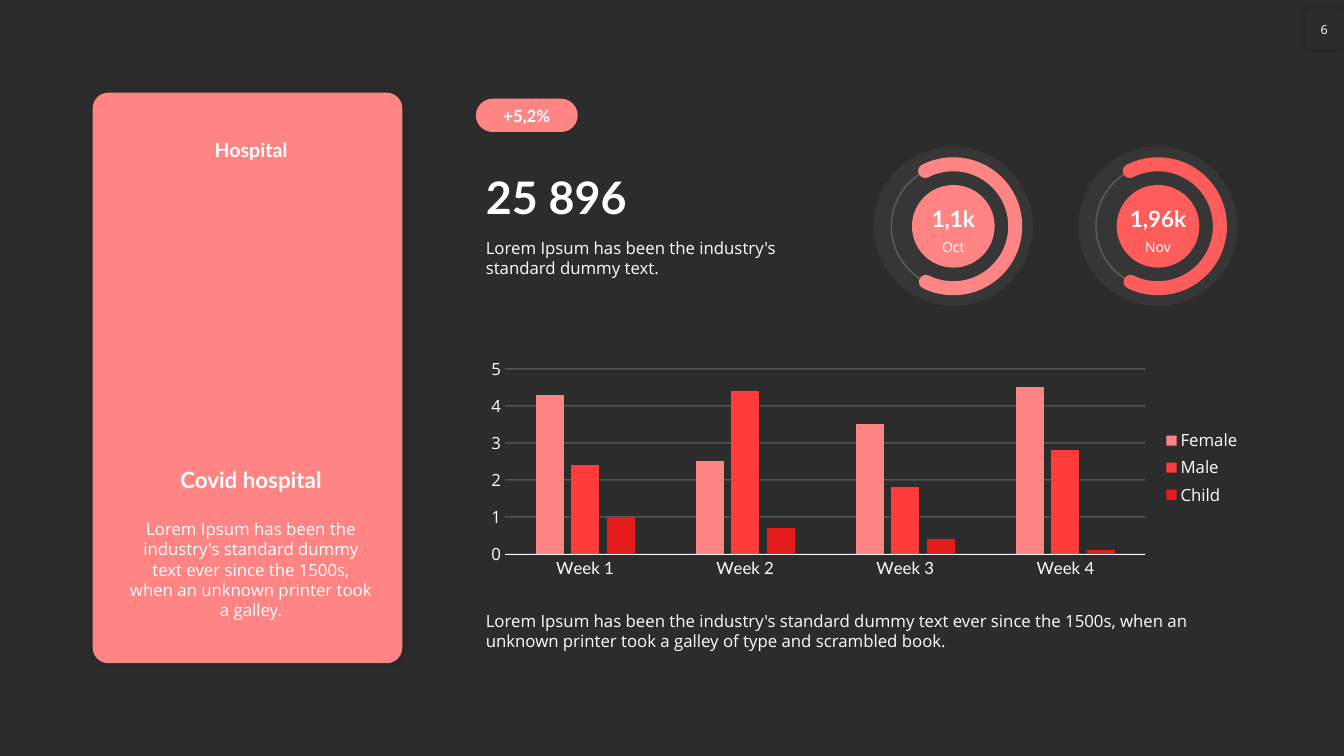
from lxml.etree import SubElement
from pptx import Presentation
from pptx.chart.data import CategoryChartData
from pptx.dml.color import RGBColor
from pptx.enum.chart import XL_CHART_TYPE as CT, XL_LEGEND_POSITION as LP, XL_TICK_MARK as TM
from pptx.enum.shapes import MSO_SHAPE as SH
from pptx.enum.text import MSO_ANCHOR as VA, MSO_AUTO_SIZE as AS, PP_ALIGN as AL
from pptx.oxml.ns import qn
from pptx.util import Inches, Pt

COLORS = {"bg": "2C2C2C", "text": "FFFFFF", "pink": "FF8585", "coral": "FF5C5C",
          "red": "FF3C3C", "dark": "E41C1C", "shade": "000000"}
HEAD, BODY = "Lato", "Open Sans"
CELL = 0.1


class Board:
    """Draws styled elements on a slide, placed in grid cells of CELL inches."""

    def __init__(self, prs):
        self.s = prs.slides.add_slide(prs.slide_layouts[5])
        fill = self.s.background.fill
        fill.solid()
        fill.fore_color.rgb = self.rgb("bg")

    def rgb(self, name):
        return RGBColor.from_string(COLORS[name])

    def box(self, *cells):
        return [Inches(n * CELL) for n in cells]

    def fade(self, element, percent):
        for c in element.iter(qn("a:srgbClr")):
            SubElement(c, qn("a:alpha"), val=str(percent * 1000))

    def font(self, f, size, name=BODY, bold=False):
        f.size, f.name, f.bold = Pt(size), name, bold
        f.color.rgb = self.rgb("text")

    def label(self, sp, text, size, name=BODY, align=AL.LEFT, anchor=VA.TOP, wrap=True):
        tf = sp.text_frame
        tf.word_wrap, tf.vertical_anchor = wrap, anchor
        p = tf.paragraphs[0]
        p.alignment = align
        r = p.add_run()
        r.text = text
        self.font(r.font, size, name, name == HEAD)
        return tf

    def text(self, cells, *args, **style):
        sp = self.s.shapes.add_textbox(*self.box(*cells))
        self.label(sp, *args, **style).auto_size = AS.SHAPE_TO_FIT_TEXT

    def title(self, cells, *args, **style):
        sp = self.s.shapes.title
        sp.element.getparent().append(sp.element)
        sp.left, sp.top, sp.width, sp.height = self.box(*cells)
        self.label(sp, *args, **style).auto_size = AS.SHAPE_TO_FIT_TEXT

    def shape(self, kind, cells, fill=None, line=None, width=1, adj=(), alpha=None):
        sp = self.s.shapes.add_shape(kind, *self.box(*cells))
        sp.shadow.inherit = False
        for i, value in enumerate(adj):
            sp.adjustments[i] = value
        if fill:
            sp.fill.solid()
            sp.fill.fore_color.rgb = self.rgb(fill)
        else:
            sp.fill.background()
        if line:
            sp.line.color.rgb = self.rgb(line)
            sp.line.width = Pt(width)
        else:
            sp.line.fill.background()
        if alpha:
            self.fade(sp.element, alpha)
        return sp

    def shadow(self, sp, alpha, blur, dist):
        effects = sp.element.spPr.find(qn("a:effectLst"))
        outer = SubElement(effects, qn("a:outerShdw"), blurRad=str(Pt(blur)),
                           dist=str(Pt(dist)), dir="2700000", algn="tl", rotWithShape="0")
        SubElement(outer, qn("a:srgbClr"), val=COLORS["shade"])
        self.fade(outer, alpha)

    def dial(self, cx, cy, color, value, month):
        def disc(kind, d, **style):
            return self.shape(kind, (cx - d / 2, cy - d / 2, d, d), **style)

        disc(SH.OVAL, 15.8, fill="text", alpha=5)
        disc(SH.OVAL, 12.3, line="text", alpha=20)
        arc = disc(SH.ARC, 12.3, line=color, width=10, adj=(145.85, 69.71))
        arc.element.spPr.find(qn("a:ln")).set("cap", "rnd")
        disc(SH.OVAL, 8.2, fill=color)
        left = cx - 4.1
        self.text((left, cy - 2.6, 8.2, 3.7), value, 16, HEAD, AL.CENTER, VA.BOTTOM)
        self.text((left, cy + 0.7, 8.2, 2.7), month, 10, align=AL.CENTER)

    def chart(self, cells, cats, series):
        data = CategoryChartData()
        data.categories = cats
        for name, _, values in series:
            data.add_series(name, values)
        ch = self.s.shapes.add_chart(CT.COLUMN_CLUSTERED, *self.box(*cells), data).chart
        self.font(ch.font, 10)
        ch.has_title = False
        ch.has_legend = True
        ch.legend.position, ch.legend.include_in_layout = LP.RIGHT, False
        self.font(ch.legend.font, 12)
        plot = ch.plots[0]
        plot.gap_width, plot.overlap, plot.vary_by_categories = 219, -27, False
        for ser, (_, color, _) in zip(plot.series, series):
            ser.format.fill.solid()
            ser.format.fill.fore_color.rgb = self.rgb(color)
        cat, val = ch.category_axis, ch.value_axis
        for axis, name in ((cat, HEAD), (val, BODY)):
            axis.major_tick_mark = axis.minor_tick_mark = TM.NONE
            self.font(axis.tick_labels.font, 12, name)
        val.minimum_scale, val.maximum_scale, val.major_unit = 0, 5, 1
        val.format.line.fill.background()
        for line in (cat.format.line, val.major_gridlines.format.line):
            line.color.rgb = self.rgb("text")
            line.width = Pt(0.75)
        self.fade(next(ch._chartSpace.iter(qn("c:majorGridlines"))), 30)


def main():
    prs = Presentation()
    prs.slide_width, prs.slide_height = Inches(13.33), Inches(7.5)
    b = Board(prs)
    side, side_w, main_col = 11.8, 26.2, 47.2

    card = b.shape(SH.ROUNDED_RECTANGLE, (9.2, 9.2, 30.7, 56.6), "pink", adj=[0.05])
    b.shadow(card, 15, 6, 1)
    number = b.shape(SH.ROUNDED_RECTANGLE, (129.4, 1, 3.9, 3.9), "bg")
    b.shadow(number, 20, 5, 0)
    tf = b.label(number, "6", 9, align=AL.CENTER, anchor=VA.MIDDLE, wrap=False)
    tf.margin_left = tf.margin_right = 0

    b.text((side, 13.1, side_w, 3.4), "Hospital", 14, HEAD, AL.CENTER, VA.BOTTOM)
    b.title((side, 45.7, side_w, 3.7), "Covid hospital", 16, HEAD, AL.CENTER)
    b.text((side, 51, side_w, 9.1), "Lorem Ipsum has been the industry's standard dummy text ever "
           "since the 1500s, when an unknown printer took a galley.", 12, align=AL.CENTER)

    pill = b.shape(SH.ROUNDED_RECTANGLE, (main_col, 9.8, 10.1, 3.3), "pink", adj=[0.5])
    tf = b.label(pill, "+5,2%", 12, HEAD, AL.CENTER, VA.MIDDLE)
    tf.margin_left = tf.margin_right = tf.margin_top = tf.margin_bottom = 0
    b.text((main_col, 16.3, 33.6, 6.4), "25 896", 32, HEAD, anchor=VA.BOTTOM)
    b.text((main_col, 23.1, 33.6, 5),
           "Lorem Ipsum has been the industry's standard dummy text.", 12)

    dials = [("pink", "1,1k", "Oct"), ("coral", "1,96k", "Nov")]
    for i, dial in enumerate(dials):
        b.dial(94.55 + 20.3 * i, 22.45, *dial)

    b.chart((main_col, 35, 76.9, 22.8), [f"Week {n}" for n in range(1, 5)],
            [("Female", "pink", (4.3, 2.5, 3.5, 4.5)),
             ("Male", "red", (2.4, 4.4, 1.8, 2.8)),
             ("Child", "dark", (1, 0.7, 0.4, 0.1))])
    b.text((main_col, 60.1, 77, 5), "Lorem Ipsum has been the industry's standard dummy text ever "
           "since the 1500s, when an unknown printer took a galley of type and scrambled book.", 12)
    prs.save("out.pptx")


if __name__ == "__main__":
    main()
